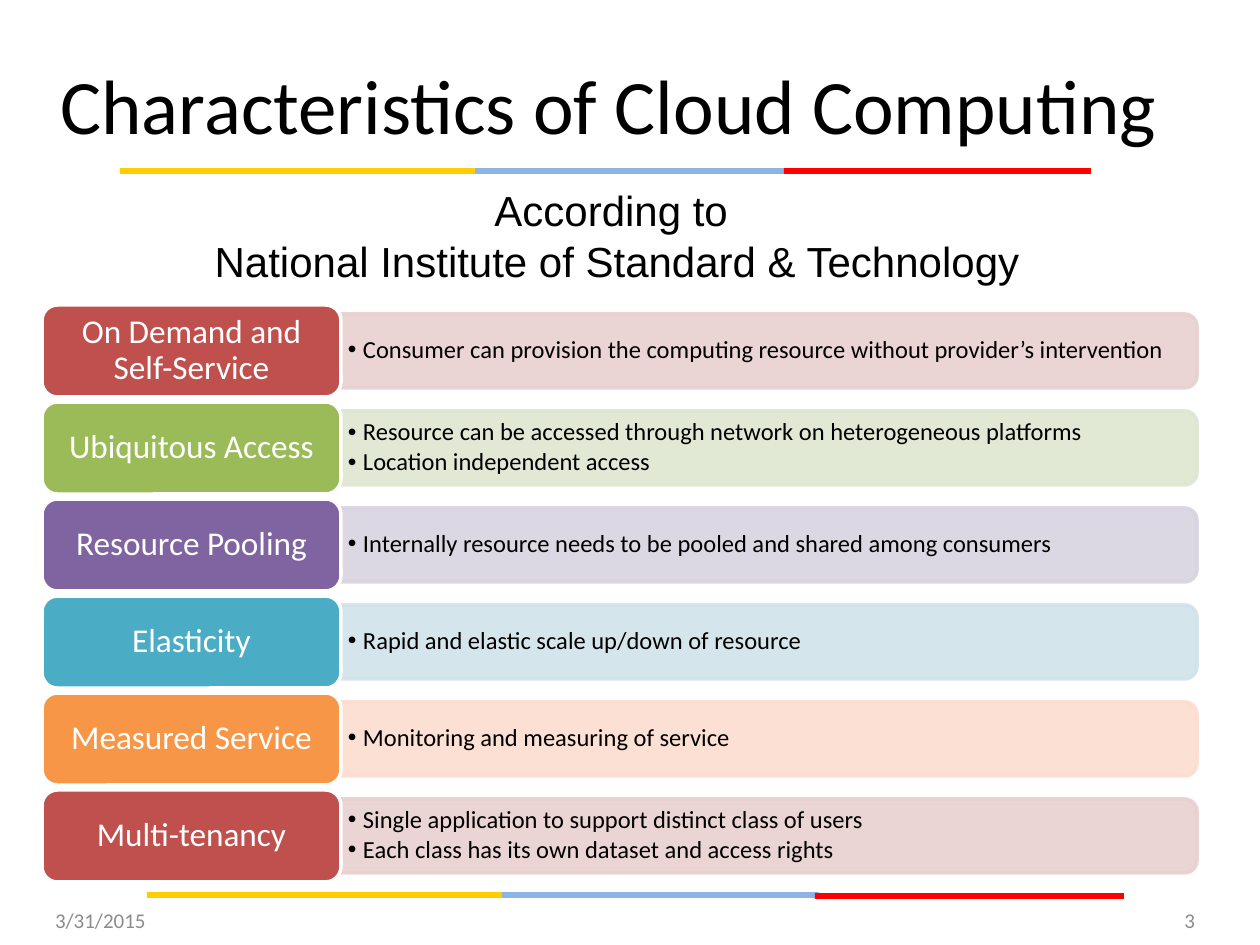
from lxml.etree import SubElement
from pptx import Presentation
from pptx.dml.color import RGBColor
from pptx.enum.shapes import MSO_SHAPE as SHAPE
from pptx.enum.text import MSO_ANCHOR as ANCHOR, PP_ALIGN as ALIGN
from pptx.oxml.ns import qn
from pptx.util import Emu, Pt

SCALE = 914400 / 126
COLORS = {
    "black": "000000", "white": "FFFFFF", "grey": "8C8C8C",
    "yellow": "FFCE00", "blue": "8EB4E3", "bright_red": "FF0000",
    "red": "C0504D", "green": "9BBB59", "purple": "8064A2",
    "teal": "4BACC6", "orange": "F79646",
    "red_tint": "E8D0D0", "green_tint": "DEE7D1", "purple_tint": "D8D3E0",
    "teal_tint": "D0E3EA", "orange_tint": "FCDDCF",
}
ROWS = [
    ("On Demand and Self-Service", "red",
     ["Consumer can provision the computing resource without provider’s intervention"]),
    ("Ubiquitous Access", "green",
     ["Resource can be accessed through network on heterogeneous platforms",
      "Location independent access"]),
    ("Resource Pooling", "purple",
     ["Internally resource needs to be pooled and shared among consumers"]),
    ("Elasticity", "teal", ["Rapid and elastic scale up/down of resource"]),
    ("Measured Service", "orange", ["Monitoring and measuring of service"]),
    ("Multi-tenancy", "red",
     ["Single application to support distinct class of users",
      "Each class has its own dataset and access rights"]),
]
ROW_TOP, ROW_PITCH = 305, 97
LABEL_LEFT, LABEL_W, LABEL_H = 42, 299, 92
PANEL_LEFT, PANEL_W, PANEL_H = LABEL_LEFT + LABEL_W, 856, 74


def px(n):
    return Emu(round(n * SCALE))


def rgb(name):
    return RGBColor.from_string(COLORS[name])


class SlideBuilder:
    font = "Calibri"

    def __init__(self, slide):
        self.slide = slide

    def shape(self, kind, x, y, w, h, fill, line=None):
        sp = self.slide.shapes.add_shape(kind, px(x), px(y), px(w), px(h))
        sp.shadow.inherit = False
        sp.fill.solid()
        sp.fill.fore_color.rgb = rgb(fill)
        if line:
            sp.line.color.rgb = rgb(line)
            sp.line.width = Pt(2)
        else:
            sp.line.fill.background()
        return sp

    def set_text(self, sp, lines, size, color="black", align=ALIGN.LEFT,
                 font=None, anchor=ANCHOR.MIDDLE, insets=(13, 6)):
        tf = sp.text_frame
        tf.word_wrap = True
        tf.vertical_anchor = anchor
        tf.margin_left = tf.margin_right = px(insets[0])
        tf.margin_top = tf.margin_bottom = px(insets[1])
        for i, text in enumerate(lines):
            p = tf.paragraphs[0] if i == 0 else tf.add_paragraph()
            p.alignment = align
            r = p.add_run()
            r.text = text
            r.font.size = Pt(size)
            r.font.name = font or self.font
            r.font.color.rgb = rgb(color)
        return tf.paragraphs

    def text(self, x, y, w, h, lines, size, **style):
        sp = self.slide.shapes.add_textbox(px(x), px(y), px(w), px(h))
        return self.set_text(sp, lines, size, **style)

    def stripe(self, *segments):
        for x, y, w, color in segments:
            self.shape(SHAPE.RECTANGLE, x, y, w, 6, color)

    def panel(self, x, y, w, h, fill):
        sp = self.shape(SHAPE.ROUND_2_SAME_RECTANGLE,
                        x + (w - h) // 2, y + (h - w) // 2, h, w, fill, fill)
        sp.rotation = 90
        for color in sp.element.spPr.iter(qn("a:srgbClr")):
            SubElement(color, qn("a:alpha"), val="90000")

    def bullets(self, x, y, w, h, lines):
        for p in self.text(x, y, w, h, lines, 14, insets=(7, 4)):
            p.line_spacing = 0.9
            p.space_after = Pt(2)
            pPr = p._p.get_or_add_pPr()
            pPr.set("marL", str(px(15)))
            pPr.set("indent", str(-px(15)))
            SubElement(pPr, qn("a:buFont"), typeface="Arial")
            SubElement(pPr, qn("a:buChar"), char="•")

    def label(self, x, y, w, h, text, fill):
        sp = self.shape(SHAPE.ROUNDED_RECTANGLE, x, y, w, h, fill, "white")
        for p in self.set_text(sp, [text], 19, color="white",
                               align=ALIGN.CENTER, insets=(15, 9)):
            p.line_spacing = 0.9


def main():
    prs = Presentation()
    prs.slide_width, prs.slide_height = px(1260), px(945)
    s = SlideBuilder(prs.slides.add_slide(prs.slide_layouts[6]))

    s.stripe((470, 168, 321, "blue"), (784, 168, 307, "bright_red"),
             (120, 168, 355, "yellow"))
    s.stripe((498, 892, 321, "blue"), (815, 893, 309, "bright_red"),
             (147, 892, 355, "yellow"))
    s.text(42, 39, 1134, 130, ["Characteristics of Cloud Computing"], 44,
           align=ALIGN.CENTER)

    for i, (name, color, points) in enumerate(ROWS):
        top = ROW_TOP + i * ROW_PITCH
        middle = top + LABEL_H // 2
        s.panel(PANEL_LEFT, middle - PANEL_H // 2, PANEL_W, PANEL_H,
                color + "_tint")
        s.bullets(PANEL_LEFT, middle - 33, PANEL_W - 3, 66, points)
        s.label(LABEL_LEFT, top, LABEL_W, LABEL_H, name, color)

    s.text(42, 895, 294, 50, ["3/31/2015"], 12, color="grey")
    s.text(914, 895, 294, 50, ["3"], 12, color="grey", align=ALIGN.RIGHT)
    heading = s.text(126, 179, 966, 115,
                     ["According to ", "National Institute of Standard & Technology"],
                     24, align=ALIGN.CENTER, font="Arial", anchor=ANCHOR.TOP)
    for p in heading:
        p._p.get_or_add_pPr().set("marL", str(px(16)))

    prs.save("out.pptx")


if __name__ == "__main__":
    main()
